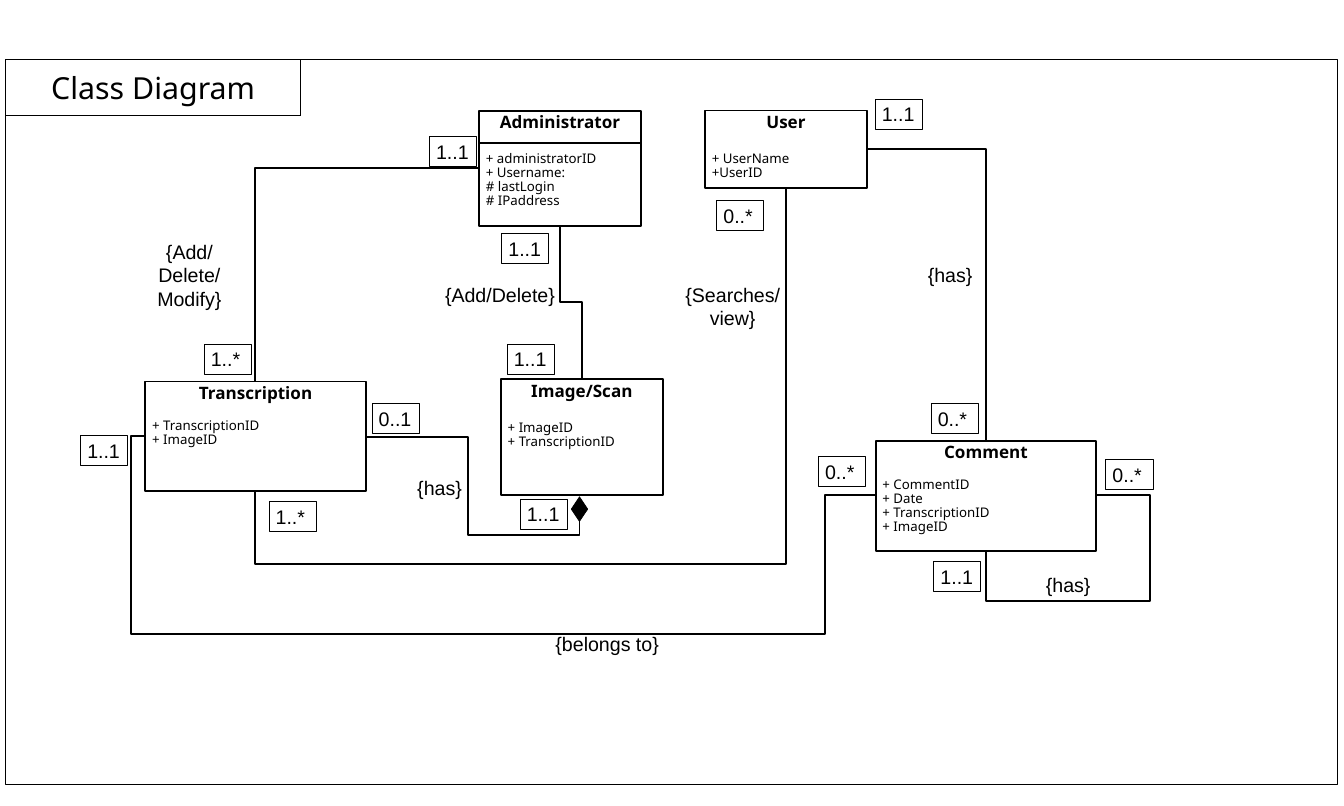
from pptx import Presentation
from pptx.dml.color import RGBColor
from pptx.enum.shapes import MSO_CONNECTOR, MSO_SHAPE
from pptx.enum.text import MSO_ANCHOR, PP_ALIGN
from pptx.oxml import parse_xml
from pptx.oxml.ns import nsdecls
from pptx.util import Inches, Pt

RECT, DIAMOND = MSO_SHAPE.RECTANGLE, MSO_SHAPE.DIAMOND
STRAIGHT, ELBOW = MSO_CONNECTOR.STRAIGHT, MSO_CONNECTOR.ELBOW
LEFT, CENTER = PP_ALIGN.LEFT, PP_ALIGN.CENTER
TOP, MIDDLE = MSO_ANCHOR.TOP, MSO_ANCHOR.MIDDLE
COLORS = {"ink": "000000", "paper": "FFFFFF"}
INK = RGBColor.from_string(COLORS["ink"])
PAPER = RGBColor.from_string(COLORS["paper"])


def outline(sp, width, fill=None):
    sp.line.color.rgb = INK
    sp.line.width = Pt(width)
    if fill is None:
        sp.fill.background()
    else:
        sp.fill.solid()
        sp.fill.fore_color.rgb = fill


def style(p, font, size, align, bold=False):
    p.alignment = align
    for r in p.runs:
        r.font.name, r.font.size, r.font.bold = font, Pt(size), bold
        r.font.color.rgb = INK


prs = Presentation()
prs.slide_width, prs.slide_height = Inches(19.69), Inches(11.81)
s = prs.slides.add_slide(prs.slide_layouts[5])

# Title tab with a snipped corner
title = s.shapes.title
title.left, title.top = Inches(0.08), Inches(0.87)
title.width, title.height = Inches(4.33), Inches(0.82)
title._element.spPr.append(parse_xml(
    f'<a:prstGeom {nsdecls("a")} prst="snip1Rect"><a:avLst>'
    '<a:gd name="adj" fmla="val 16667"/></a:avLst></a:prstGeom>'))
outline(title, 0)
tf = title.text_frame
tf.text = "Class Diagram"
tf.vertical_anchor = MIDDLE
tf.margin_left = tf.margin_right = tf.margin_top = tf.margin_bottom = 0
style(tf.paragraphs[0], "Noto Sans", 32, CENTER)

# Diagram frame
frame = s.shapes.add_shape(RECT, Inches(0.08), Inches(0.87), Inches(19.52), Inches(10.62))
frame.shadow.inherit = False
outline(frame, 1)

# Associations: frame before rotation, rotation, flips, bend count, bend positions
associations = [
    (6.3, 5.45, 1.24, 3.14, 270, "V", 4, [-0.16, 0.52]),     # Image/Scan - Transcription
    (7.24, 4.27, 2.25, 0.32, 270, "H", 3, [0.5]),            # Administrator - Image/Scan
    (3.74, 2.46, 3.28, 3.13, 180, "V", 2, []),               # Administrator - Transcription
    (5.41, 1.09, 4.44, 7.78, 90, "", 3, [1.24]),             # User - Transcription
    (12.7, 2.19, 1.75, 4.27, 0, "", 2, []),                  # User - Comment
    (2.13, 6.39, 10.71, 0.87, 180, "HV", 5, [-0.02, 3.34, 0.93]),  # Transcription - Comment
    (14.85, 6.85, 0.8, 1.61, 90, "HV", 4, [-0.94, 1.49]),    # Comment - Comment
]
for x, y, w, h, turn, flips, bends, stops in associations:
    cxn = s.shapes.add_connector(ELBOW, Inches(x), Inches(y), Inches(x + w), Inches(y + h))
    cxn.line.color.rgb = INK
    cxn.line.width = Pt(0)
    spPr = cxn._element.spPr
    spPr.append(parse_xml(f'<a:effectLst {nsdecls("a")}/>'))
    spPr.xfrm.set("rot", str(turn * 60000))
    for axis in flips:
        spPr.xfrm.set("flip" + axis, "1")
    geom = spPr.prstGeom
    geom.set("prst", f"bentConnector{bends}")
    for i, stop in enumerate(stops, 1):
        geom.avLst.append(parse_xml(
            f'<a:gd {nsdecls("a")} name="adj{i}" fmla="val {round(stop * 100000)}"/>'))

# Classes: position, size, gap under the name, name, attributes
classes = [
    (7.02, 1.62, 2.37, 1.69, 21.6, "Administrator",
     ["+ administratorID", "+ Username:", "# lastLogin", "# IPaddress"]),
    (10.33, 1.62, 2.37, 1.14, 21.6, "User", ["+ UserName", "+UserID"]),
    (2.13, 5.59, 3.23, 1.61, 16.8, "Transcription", ["+ TranscriptionID", "+ ImageID"]),
    (7.34, 5.56, 2.37, 1.69, 21.6, "Image/Scan", ["+ ImageID", "+ TranscriptionID"]),
    (12.83, 6.46, 3.23, 1.61, 16.8, "Comment",
     ["+ CommentID", "+ Date", "+ TranscriptionID", "+ ImageID"]),
]
for x, y, w, h, gap, name, attributes in classes:
    sp = s.shapes.add_shape(RECT, Inches(x), Inches(y), Inches(w), Inches(h))
    sp.shadow.inherit = False
    outline(sp, 2, PAPER)
    tf = sp.text_frame
    tf.text = "\n".join([name] + attributes)
    tf.word_wrap = True
    tf.vertical_anchor = TOP
    for p in tf.paragraphs:
        p.line_spacing = 0.88
        style(p, "Noto Sans", 14, LEFT)
    style(tf.paragraphs[0], "Noto Sans", 18, CENTER, True)
    tf.paragraphs[0].space_after = Pt(gap)

# Line under the Administrator name
divider = s.shapes.add_connector(STRAIGHT, Inches(7.02), Inches(2.1), Inches(9.4), Inches(2.1))
divider.line.color.rgb = INK
divider.line.width = Pt(2)
divider._element.spPr.append(parse_xml(f'<a:effectLst {nsdecls("a")}/>'))

# Composition diamond
diamond = s.shapes.add_shape(DIAMOND, Inches(8.37), Inches(7.28), Inches(0.24), Inches(0.36))
diamond.shadow.inherit = False
outline(diamond, 0, INK)

# Multiplicities
multiplicities = [
    (6.29, 2, "1..1"), (7.35, 3.42, "1..1"), (7.43, 5.04, "1..1"), (7.62, 7.31, "1..1"),
    (10.5, 2.94, "0..*"), (12.82, 1.45, "1..1"), (2.99, 5.04, "1..*"), (3.94, 7.35, "1..*"),
    (5.45, 5.91, "0..1"), (1.18, 6.38, "1..1"), (11.99, 6.69, "0..*"), (13.64, 5.91, "0..*"),
    (13.68, 8.23, "1..1"), (16.2, 6.73, "0..*"),
]
for x, y, text in multiplicities:
    sp = s.shapes.add_shape(RECT, Inches(x), Inches(y), Inches(0.69), Inches(0.44))
    sp.shadow.inherit = False
    outline(sp, 0)
    tf = sp.text_frame
    tf.text = text
    tf.word_wrap = True
    tf.vertical_anchor = TOP
    style(tf.paragraphs[0], "Arial", 20.7, LEFT)

# Association names
names = [
    (6.36, 4.09, 1.93, 0.44, "{Add/Delete}"),
    (9.87, 4.09, 1.73, 0.79, "{Searches/ view}"),
    (1.81, 3.46, 1.93, 1.13, "{Add/\vDelete/\vModify}"),
    (5.91, 6.93, 1.06, 0.44, "{has}"),
    (13.39, 3.81, 1.06, 0.44, "{has}"),
    (15.12, 8.34, 1.06, 0.44, "{has}"),
    (7.95, 9.21, 1.89, 0.44, "{belongs to}"),
]
for x, y, w, h, text in names:
    tf = s.shapes.add_textbox(Inches(x), Inches(y), Inches(w), Inches(h)).text_frame
    tf.text = text
    tf.word_wrap = True
    style(tf.paragraphs[0], "Arial", 20.7, CENTER)

prs.save("out.pptx")
